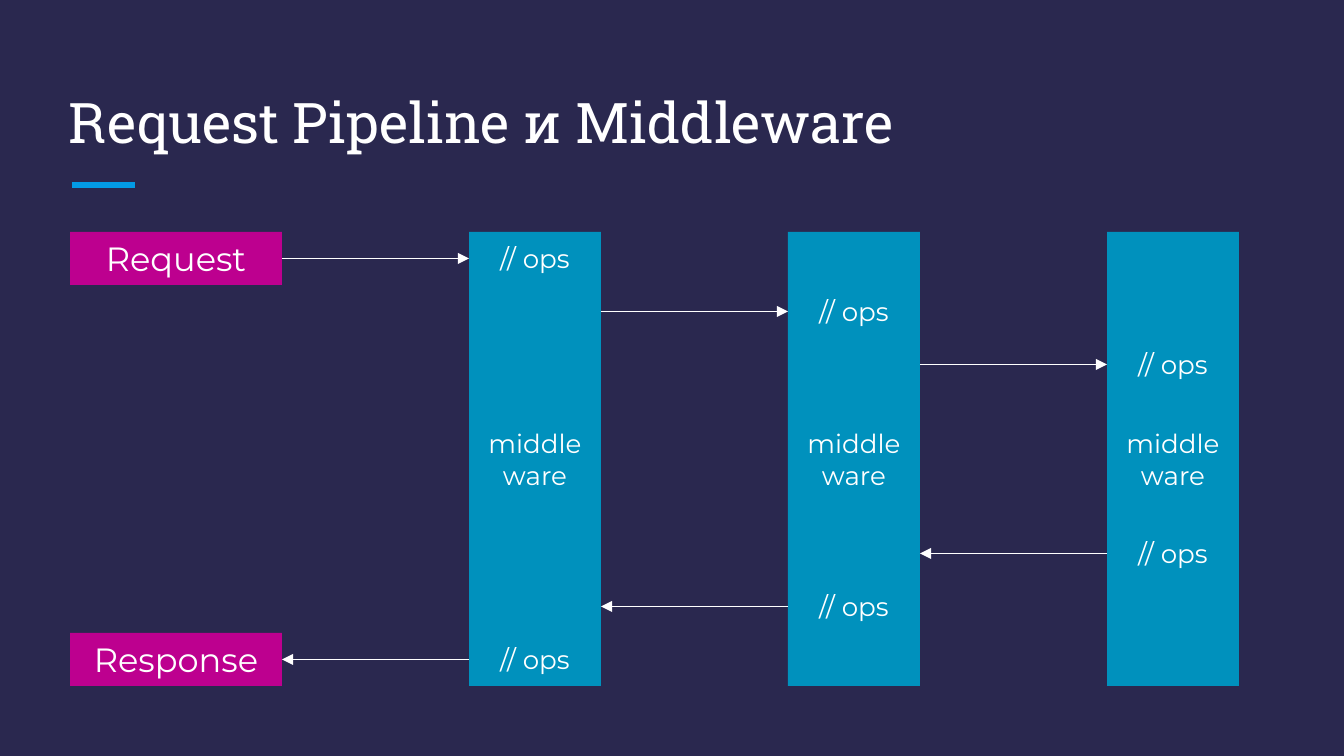
from lxml import etree
from pptx import Presentation
from pptx.dml.color import RGBColor
from pptx.enum.shapes import MSO_CONNECTOR, MSO_SHAPE
from pptx.enum.text import MSO_ANCHOR, PP_ALIGN
from pptx.oxml.ns import qn
from pptx.util import Pt

RECTANGLE = MSO_SHAPE.RECTANGLE
STRAIGHT = MSO_CONNECTOR.STRAIGHT
MIDDLE, BOTTOM = MSO_ANCHOR.MIDDLE, MSO_ANCHOR.BOTTOM
CENTER, LEFT = PP_ALIGN.CENTER, PP_ALIGN.LEFT

# Content
TITLE = "Request Pipeline и Middleware"
MESSAGES = ["Request", "Response"]
STAGES = ["middle\nware"] * 3
OPERATION = "// ops"

# Formats
NAVY, MAGENTA, TEAL = "2A284F", "BD008F", "0091BD"
ACCENT, WHITE = "039BE5", "FFFFFF"
TITLE_FONT, BODY_FONT = "Roboto Slab", "Montserrat"

# Layout in px
WIDTH, HEIGHT = 1344, 756
EMU_PER_PX = 9144000 / WIDTH
INSET = 13
TOP, BOTTOM_EDGE = 232, 686
ROW = 53
MESSAGE_LEFT, MESSAGE_WIDTH = 70, 212
STAGE_LEFT, STAGE_WIDTH, STAGE_STEP = 469, 132, 319
GAP = STAGE_STEP - STAGE_WIDTH


def px(length):
    return round(length * EMU_PER_PX)


def color(value):
    return RGBColor.from_string(value)


def write(shape, text, size, font=BODY_FONT, anchor=MIDDLE, align=CENTER):
    frame = shape.text_frame
    frame_format = {"word_wrap": True, "vertical_anchor": anchor}
    for side in ("left", "right", "top", "bottom"):
        frame_format[f"margin_{side}"] = px(INSET)
    for key, value in frame_format.items():
        setattr(frame, key, value)
    paragraph = frame.paragraphs[0]
    paragraph.text = text
    paragraph.alignment = align
    for run in paragraph.runs:
        for key, value in {"name": font, "size": Pt(size)}.items():
            setattr(run.font, key, value)
        run.font.color.rgb = color(WHITE)


def add_label(slide, box, text, size, **text_format):
    label = slide.shapes.add_textbox(*map(px, box))
    write(label, text, size, **text_format)


def add_block(slide, box, text, size, fill):
    block = slide.shapes.add_shape(RECTANGLE, *map(px, box))
    block.shadow.inherit = False
    block.fill.solid()
    block.fill.fore_color.rgb = color(fill)
    block.line.fill.background()
    write(block, text, size)


def add_line(slide, start, end, y, stroke, weight, arrow=False):
    line = slide.shapes.add_connector(STRAIGHT, px(start), px(y), px(end), px(y))
    line.line.color.rgb = color(stroke)
    line.line.width = Pt(weight)
    properties = line._element.spPr
    if arrow:
        etree.SubElement(properties.find(qn("a:ln")), qn("a:tailEnd"),
                         type="triangle", w="med", len="med")
    etree.SubElement(properties, qn("a:effectLst"))


def main():
    deck = Presentation()
    deck.slide_width, deck.slide_height = px(WIDTH), px(HEIGHT)
    slide = deck.slides.add_slide(deck.slide_layouts[6])
    slide.background.fill.solid()
    slide.background.fill.fore_color.rgb = color(NAVY)

    # Title and accent
    add_line(slide, 72, 135, 185, ACCENT, 3)
    add_label(slide, (56, 67, 1230, 101), TITLE, 30,
              font=TITLE_FONT, anchor=BOTTOM, align=LEFT)

    # Incoming and outgoing messages
    for message, y in zip(MESSAGES, (TOP, BOTTOM_EDGE - ROW)):
        add_block(slide, (MESSAGE_LEFT, y, MESSAGE_WIDTH, ROW), message, 18, MAGENTA)

    # Each stage sits one row deeper: in from the top, out from the bottom
    for depth, stage in enumerate(STAGES):
        x = STAGE_LEFT + depth * STAGE_STEP
        request_y = TOP + depth * ROW
        response_y = BOTTOM_EDGE - (depth + 1) * ROW
        add_block(slide, (x, TOP, STAGE_WIDTH, BOTTOM_EDGE - TOP), stage, 14, TEAL)
        for y, start, end in ((request_y, x - GAP, x), (response_y, x, x - GAP)):
            add_label(slide, (x, y, STAGE_WIDTH, ROW), OPERATION, 14)
            add_line(slide, start, end, y + ROW / 2, WHITE, 0.75, arrow=True)

    deck.save("out.pptx")


if __name__ == "__main__":
    main()
